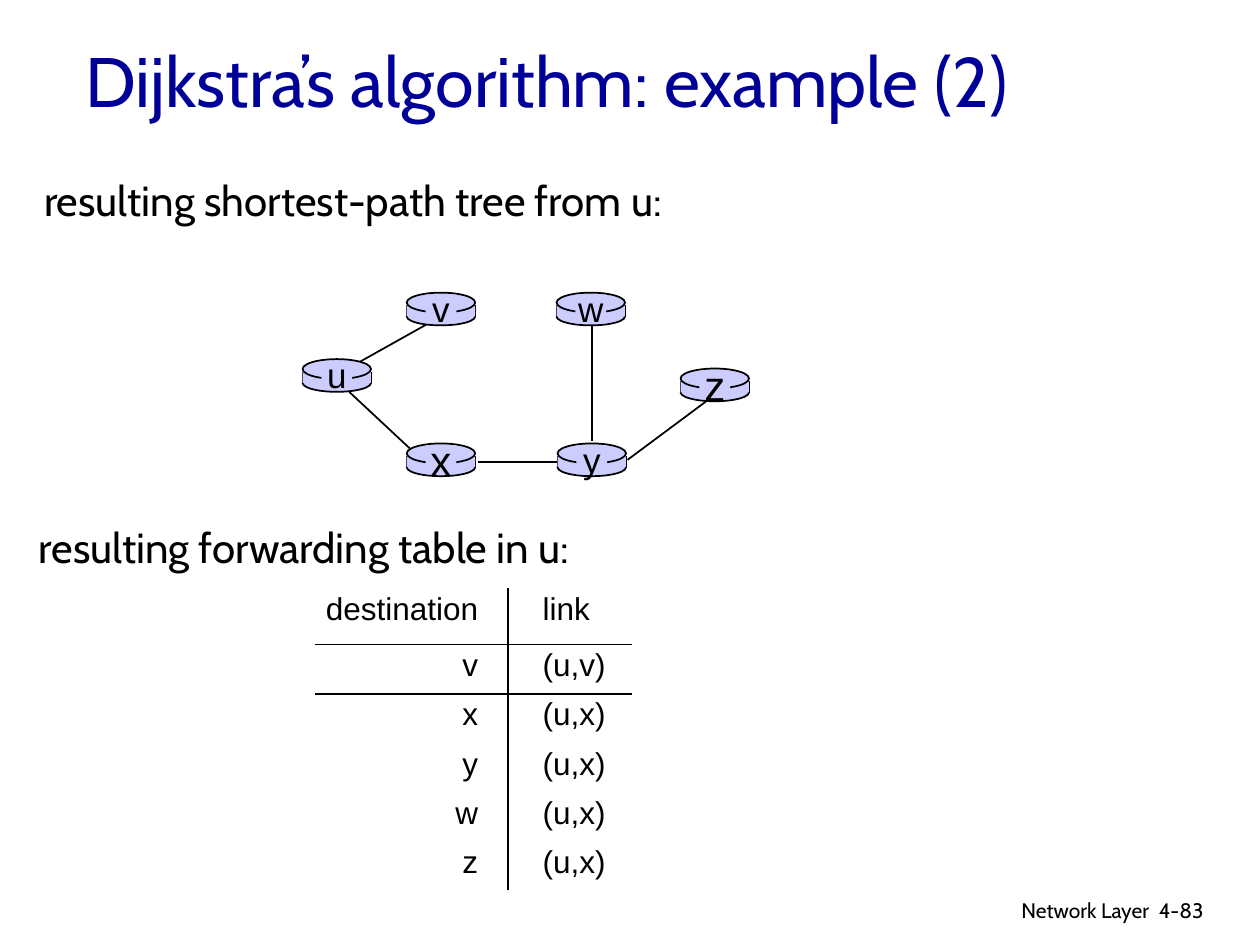
from lxml.etree import SubElement
from pptx import Presentation
from pptx.dml.color import RGBColor
from pptx.enum.shapes import MSO_CONNECTOR as CONNECTOR, MSO_SHAPE as SHAPE
from pptx.enum.text import MSO_ANCHOR as ANCHOR, MSO_AUTO_SIZE as AUTO_SIZE, PP_ALIGN as ALIGN
from pptx.oxml import parse_xml
from pptx.oxml.ns import nsdecls, qn
from pptx.util import Cm, Pt

# Content; all lengths are in centimetres
TITLE = "Dijkstra’s algorithm: example (2)"
TEXTS = [  # text, left, top, width, height, size, alignment
    ("resulting shortest-path tree from u:", 0.64, 3.4, 14.6, 1.27, 24, ALIGN.LEFT),
    ("resulting forwarding table in u:", 0.53, 10.39, 12.85, 1.27, 24, ALIGN.LEFT),
    ("Network Layer", 15.37, 17.96, 8.05, 0.79, 12, ALIGN.RIGHT),
    ("4-83", 23.11, 17.96, 1.88, 0.76, 12, ALIGN.LEFT),
]
ROUTERS = [  # name, left, top, label size
    ("u", 6.1, 7.24, 20),
    ("x", 8.2, 8.94, 24),
    ("v", 8.2, 5.9, 20),
    ("w", 11.22, 5.9, 20),
    ("y", 11.24, 8.94, 20),
    ("z", 13.72, 7.43, 24),
]
LINKS = [  # start x, start y, end x, end y
    (7.26, 7.29, 8.76, 6.45),  # u-v
    (7.04, 7.9, 8.26, 9.04),  # u-x
    (9.63, 9.32, 11.25, 9.32),  # x-y
    (11.94, 6.58, 11.94, 8.89),  # w-y
    (12.65, 9.27, 14.25, 8.08),  # y-z
]
FORWARDING = [
    ("destination", "link"),
    ("v", "(u,v)"),
    ("x", "(u,x)"),
    ("y", "(u,x)"),
    ("w", "(u,x)"),
    ("z", "(u,x)"),
]
BLACK, NAVY, LAVENDER = "000000", "000099", "CCCCFF"
ROUTER_WIDTH, DISC_HEIGHT, BASE_HEIGHT = 1.38, 0.4, 0.36
SIDE_TOP, SIDE_HEIGHT, BASE_TOP = 0.25, 0.23, 0.3
LABEL_WIDTH, LABEL_HEIGHT, LABEL_MIDDLE = 0.62, 0.58, 0.33
NO_STYLE = "{2D5ABB26-0587-4C30-8999-92F81FD0307C}"


def color(hex_string):
    return RGBColor.from_string(hex_string)


def set_text(text_frame, text, size, font="Cabin", ink=BLACK, align=ALIGN.LEFT):
    text_frame.text = text
    paragraph = text_frame.paragraphs[0]
    paragraph.alignment = align
    run_font = paragraph.runs[0].font
    run_font.name, run_font.size = font, Pt(size)
    run_font.color.rgb = color(ink)


def add_text(shapes, text, left, top, width, height, size, align, font="Cabin", wrap=True):
    box = shapes.add_textbox(Cm(left), Cm(top), Cm(width), Cm(height))
    box.text_frame.word_wrap = wrap
    box.text_frame.auto_size = AUTO_SIZE.NONE
    set_text(box.text_frame, text, size, font, align=align)


def add_line(shapes, x1, y1, x2, y2):
    line = shapes.add_connector(CONNECTOR.STRAIGHT, Cm(x1), Cm(y1), Cm(x2), Cm(y2))
    line.line.color.rgb = color(BLACK)
    line.line.width = Pt(1)
    SubElement(line._element.spPr, qn("a:effectLst"))


def add_part(shapes, kind, left, top, width, height, outlined):
    part = shapes.add_shape(kind, Cm(left), Cm(top), Cm(width), Cm(height))
    part.shadow.inherit = False
    part.fill.solid()
    part.fill.fore_color.rgb = color(LAVENDER)
    if outlined:
        part.line.color.rgb = color(BLACK)
        part.line.width = Pt(1)
    else:
        part.line.fill.background()


def add_router(shapes, name, left, top, size):
    side = top + SIDE_TOP
    add_part(shapes, SHAPE.OVAL, left, top + BASE_TOP, ROUTER_WIDTH, BASE_HEIGHT, True)
    for x in (left, left + ROUTER_WIDTH):
        add_line(shapes, x, side, x, side + SIDE_HEIGHT)
    add_part(shapes, SHAPE.RECTANGLE, left, side, ROUTER_WIDTH, SIDE_HEIGHT, False)
    add_part(shapes, SHAPE.OVAL, left, top, ROUTER_WIDTH, DISC_HEIGHT, True)
    # Label on a patch that hides the middle of the disc
    center, middle = left + ROUTER_WIDTH / 2, top + LABEL_MIDDLE
    add_part(shapes, SHAPE.RECTANGLE, center - LABEL_WIDTH / 2, middle - LABEL_HEIGHT / 2,
             LABEL_WIDTH, LABEL_HEIGHT, False)
    width, height = 0.9, 1.12 if size == 20 else 1.27
    add_text(shapes, name, center - width / 2, middle - height / 2, width, height,
             size, ALIGN.CENTER, "Arial", wrap=False)


def add_border(cell, side):
    border = parse_xml(
        f'<a:{side} {nsdecls("a")} w="9525"><a:solidFill><a:srgbClr val="{BLACK}"/>'
        f"</a:solidFill></a:{side}>")
    properties = cell._tc.get_or_add_tcPr()
    borders = [child for child in properties if child.tag.startswith(qn("a:ln"))]
    properties.insert(len(borders), border)


def add_forwarding_table(shapes):
    widths, header_height, row_height = (3.89, 2.51), 1.14, 0.99
    frame = shapes.add_table(
        len(FORWARDING), 2, Cm(6.35), Cm(11.86), Cm(sum(widths)),
        Cm(header_height + row_height * (len(FORWARDING) - 1)))
    table = frame.table
    table.first_row = table.horz_banding = False
    table._tbl.tblPr.find(qn("a:tableStyleId")).text = NO_STYLE
    for column, width in zip(table.columns, widths):
        column.width = Cm(width)
    for i, values in enumerate(FORWARDING):
        table.rows[i].height = Cm(row_height if i else header_height)
        for j, value in enumerate(values):
            cell = table.cell(i, j)
            cell.fill.background()
            cell.vertical_anchor = ANCHOR.TOP
            cell.margin_top, cell.margin_bottom = Cm(0.07), 0
            cell.margin_left = Cm(0.7 if j else 0)
            cell.margin_right = Cm(0 if j else 0.6)
            set_text(cell.text_frame, value, 18, "Arial",
                     align=ALIGN.LEFT if j else ALIGN.RIGHT)
            add_border(cell, "lnL" if j else "lnR")
            if i < 2:
                add_border(cell, "lnT" if i else "lnB")


def main():
    presentation = Presentation()
    presentation.slide_width, presentation.slide_height = Cm(25.4), Cm(19.05)
    slide = presentation.slides.add_slide(presentation.slide_layouts[5])

    # Title
    title = slide.shapes.title
    title.left, title.top, title.width, title.height = Cm(1.47), Cm(0.43), Cm(21.6), Cm(2.36)
    title.text_frame.vertical_anchor = ANCHOR.MIDDLE
    set_text(title.text_frame, TITLE, 40, ink=NAVY)

    # Captions and footer
    for text in TEXTS:
        add_text(slide.shapes, *text)

    # Shortest-path tree
    tree = slide.shapes.add_group_shape()
    for link in LINKS:
        add_line(tree.shapes, *link)
    for router in ROUTERS:
        add_router(tree.shapes, *router)

    add_forwarding_table(slide.shapes)
    presentation.save("out.pptx")


if __name__ == "__main__":
    main()
